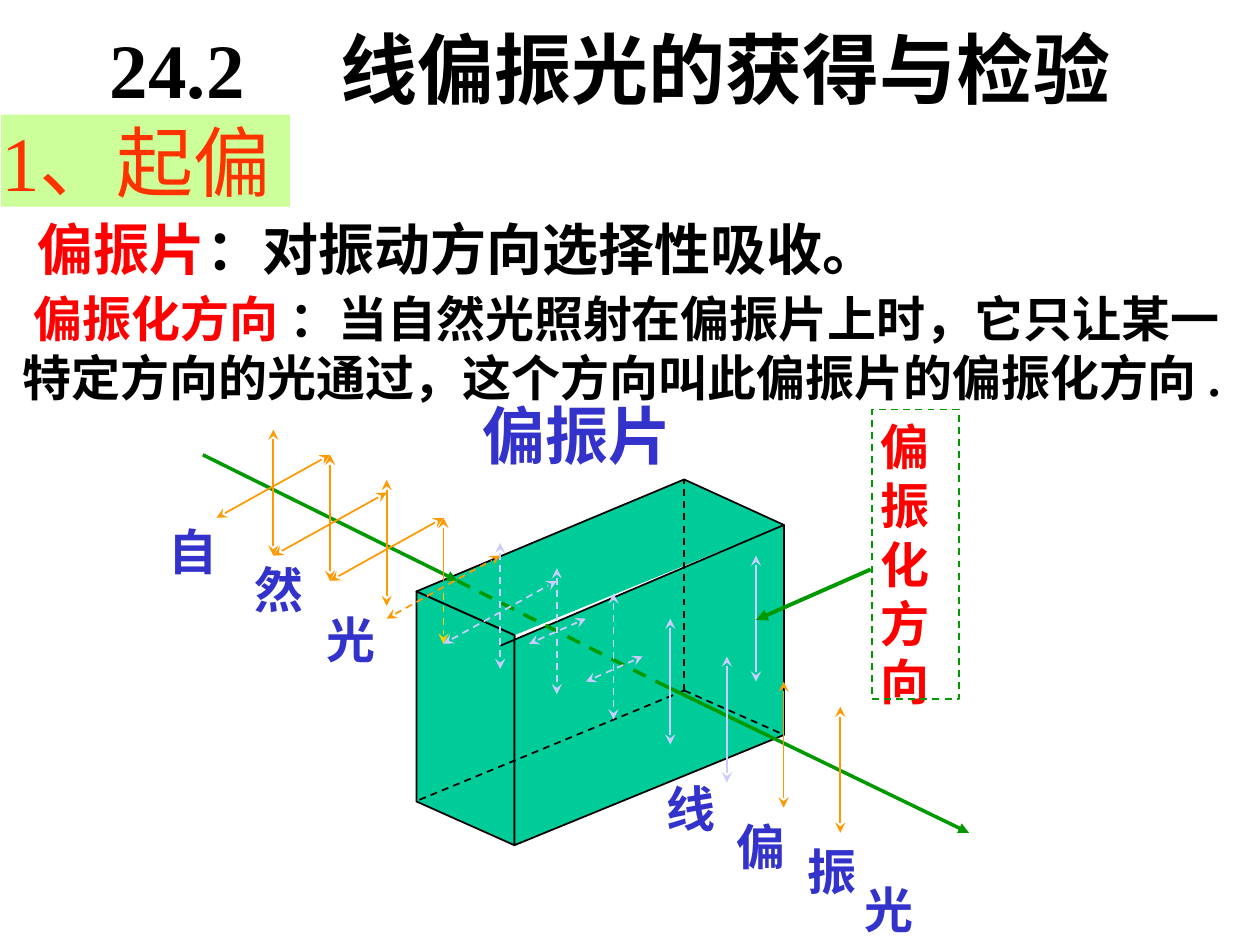
import pptx
import pptx.dml.color
import pptx.enum.dml
import pptx.enum.shapes
import pptx.enum.text
import pptx.oxml.ns
import pptx.util
from lxml import etree

Pt = pptx.util.Pt
COLOURS = {
    "black": "000000", "red": "FF0000", "heading": "FF3300", "blue": "3333CC",
    "lime": "CCFF99", "glass": "00CC99", "ray": "009900", "orange": "FF9900",
    "yellow": "FFCC00", "lilac": "CCCCFF",
}
PITCH = 32.4


def rgb(name):
    """Return the named colour."""
    return pptx.dml.color.RGBColor.from_string(COLOURS[name])


def add_xml(parent, tag, **attributes):
    """Append a DrawingML child element."""
    return etree.SubElement(parent, pptx.oxml.ns.qn(tag), **attributes)


def write(paragraph, text, size=28, colour="black", bold=True, latin="Times New Roman"):
    """Add one formatted run to a paragraph."""
    run = paragraph.add_run()
    run.text = text
    run.font.size = Pt(size)
    run.font.bold = bold
    run.font.color.rgb = rgb(colour)
    run.font.name = latin
    add_xml(run.font._element, "a:ea", typeface="Noto Sans CJK SC")
    paragraph.line_spacing = Pt(size * 1.2)


class Board:
    """Draws styled elements on the current slide."""

    def __init__(self, slide):
        self.shapes = slide.shapes

    def outline(self, shape, colour, width=1, dash=False):
        """Set the line of a shape or connector."""
        shape.line.color.rgb = rgb(colour)
        shape.line.width = Pt(width)
        if dash:
            shape.line.dash_style = pptx.enum.dml.MSO_LINE.DASH

    def line(self, start, end, colour, width=1, dash=False, head=None, tail=None):
        """Draw a straight line with optional arrowheads."""
        straight = pptx.enum.shapes.MSO_CONNECTOR.STRAIGHT
        line = self.shapes.add_connector(straight, *map(Pt, start + end))
        self.outline(line, colour, width, dash)
        for tag, kind in (("a:headEnd", head), ("a:tailEnd", tail)):
            if kind:
                add_xml(line.line._get_or_add_ln(), tag, type=kind)
        add_xml(line._element.spPr, "a:effectLst")

    def vibration(self, start, end, colour, width=1, dash=False):
        """Draw a double-headed vibration arrow."""
        self.line(start, end, colour, width, dash, "stealth", "stealth")

    def face(self, points):
        """Draw one face of the polarizer block."""
        builder = self.shapes.build_freeform(*points[0], scale=float(Pt(1)))
        builder.add_line_segments(points[1:], close=False)
        face = builder.convert_to_shape()
        face.shadow.inherit = False
        face.fill.solid()
        face.fill.fore_color.rgb = rgb("glass")
        self.outline(face, "black")

    def box(self, left, top, width, height, fill=None, border=None):
        """Draw a plain rectangle."""
        kind = pptx.enum.shapes.MSO_SHAPE.RECTANGLE
        box = self.shapes.add_shape(kind, *map(Pt, (left, top, width, height)))
        box.shadow.inherit = False
        if fill:
            box.fill.solid()
            box.fill.fore_color.rgb = rgb(fill)
        else:
            box.fill.background()
        if border:
            self.outline(box, border, dash=True)
        else:
            box.line.fill.background()
        return box

    def text(self, place, lines, shape=None, inset=(7.2, 3.6), wrap=False, **style):
        """Fill a text box, one list of (text, colour) parts per line."""
        shape = shape or self.shapes.add_textbox(*map(Pt, place))
        frame = shape.text_frame
        frame.word_wrap = wrap
        frame.vertical_anchor = pptx.enum.text.MSO_ANCHOR.TOP
        frame.margin_left = frame.margin_right = Pt(inset[0])
        frame.margin_top = frame.margin_bottom = Pt(inset[1])
        for number, parts in enumerate(lines):
            paragraph = frame.add_paragraph() if number else frame.paragraphs[0]
            paragraph.alignment = pptx.enum.text.PP_ALIGN.LEFT
            for words, colour in parts:
                write(paragraph, words, colour=colour, **style)
        return frame


def draw_block(board):
    """Draw the polarizer block and its hidden edges."""
    top_left, top_back, top_right = (237.6, 337.7), (391, 274.3), (447.8, 299.5)
    top_front, low_front = (293.8, 362.9), (293.8, 483.1)
    low_left, low_back, low_right = (237.6, 457.9), (391, 394.6), (447.8, 419.8)
    board.face([top_right, top_back, top_left, top_front])
    board.face([top_left, top_front, low_front, low_left, top_left])
    board.face([top_front, low_front, low_right, top_right, (285.8, 369.4)])
    for corner in (top_back, low_left, low_right):
        board.line(low_back, corner, "black", dash=True)


def draw_light(board):
    """Draw the ray and the vibrations along it."""
    enter, leave = (261.4, 331.9), (375.1, 389.5)
    board.line(leave, (553.7, 475.9), "ray", 2, tail="triangle")
    board.line((115.9, 259.9), enter, "ray", 2, tail="triangle")
    board.line(enter, leave, "ray", 2, dash=True)
    upright_groups = [
        ((1, 2, 3), 0, "orange", False), ((5, 6, 7), 7.2, "lilac", True),
        ((8,), 7.2, "lilac", False), ((9,), 14.4, "lilac", False),
        ((10, 11), 14.4, "orange", False),
    ]
    for columns, drop, colour, dash in upright_groups:
        for column in columns:
            x, y = 123.8 + PITCH * column, 231.1 + 14.4 * column + drop
            board.vibration((x, y), (x, y + 72), colour, dash=dash)
    surface = 123.8 + PITCH * 4
    board.line((surface, 295.9), (surface, 331.9), "orange", head="stealth")
    board.line((surface, 339.1), (surface, 367.9), "yellow", dash=True, tail="stealth")
    slants = [(295.9, "orange", False), (317.5, "orange", False), (331.9, "orange", False),
              (353.5, "orange", True), (367.9, "lilac", True)]
    for column, (y, colour, dash) in enumerate(slants):
        x = 123.8 + PITCH * column
        board.vibration((x, y), (x + 2 * PITCH, y - 36), colour, dash=dash)
    for x, y in ((302.4, 367.9), (334.8, 389.5)):
        board.vibration((x, y), (x + PITCH, y - 14.4), "lilac", dash=True)
    board.vibration((432, 317.5), (432, 389.5), "lilac", 1.5)


def draw_labels(board):
    """Label the block, the light and the polarizing direction."""
    sans = "Noto Sans CJK SC"
    direction = [[(sign, "red")] for sign in "偏振化方向"]
    board.text((496, 234.7, 42.5, 175.7), direction, latin=sans)
    board.box(498.2, 234, 49.7, 165.6, border="ray")
    board.line((497.5, 325.4), (432, 354.2), "ray", 2.25, tail="triangle")
    places = [(89.3, 294.5), (138.2, 316.1), (179.3, 344.9), (373.7, 441.4),
              (414, 463), (454.3, 477.4), (486.7, 499)]
    for sign, (left, top) in zip("自然光线偏振光", places):
        board.text((left, top, 42.5, 41), [[(sign, "blue")]], latin=sans)
    board.text((268.6, 223.2, 122.4, 50.4), [[("偏振片", "blue")]], size=36, latin=sans)


def draw_wording(board):
    """Write the title, the heading and the two definitions."""
    title = board.text((5.8, 8.5, 696.2, 59.8), [[("24.2\t线偏振光的获得与检验", "black")]],
                       inset=(57, 3.6), size=44)
    stops = add_xml(title.paragraphs[0]._p.get_or_add_pPr(), "a:tabLst")
    add_xml(stops, "a:tab", pos=str(Pt(132)), algn="l")
    heading = board.box(0.7, 65.5, 164.9, 52.6, fill="lime")
    board.text(None, [[("1、起偏", "heading")]], heading, (0, 0), size=44, bold=False)
    board.text((5.8, 161.3, 714.2, 108),
               [[(" 偏振化方向", "red"),
                 (" ：当自然光照射在偏振片上时，它只让某一特定方向的光通过，"
                  "这个方向叫此偏振片的偏振化方向 .", "black")]], wrap=True)
    board.text((14.4, 122.4, 648, 38.2),
               [[(" 偏振片", "red"), ("：对振动方向选择性吸收。", "black")]],
               inset=(0, 0), wrap=True, size=32)


def main():
    """Build and save the slide."""
    deck = pptx.Presentation()
    deck.slide_width, deck.slide_height = Pt(720), Pt(540)
    board = Board(deck.slides.add_slide(deck.slide_layouts[6]))
    draw_block(board)
    draw_light(board)
    draw_labels(board)
    draw_wording(board)
    deck.save("out.pptx")


if __name__ == "__main__":
    main()
